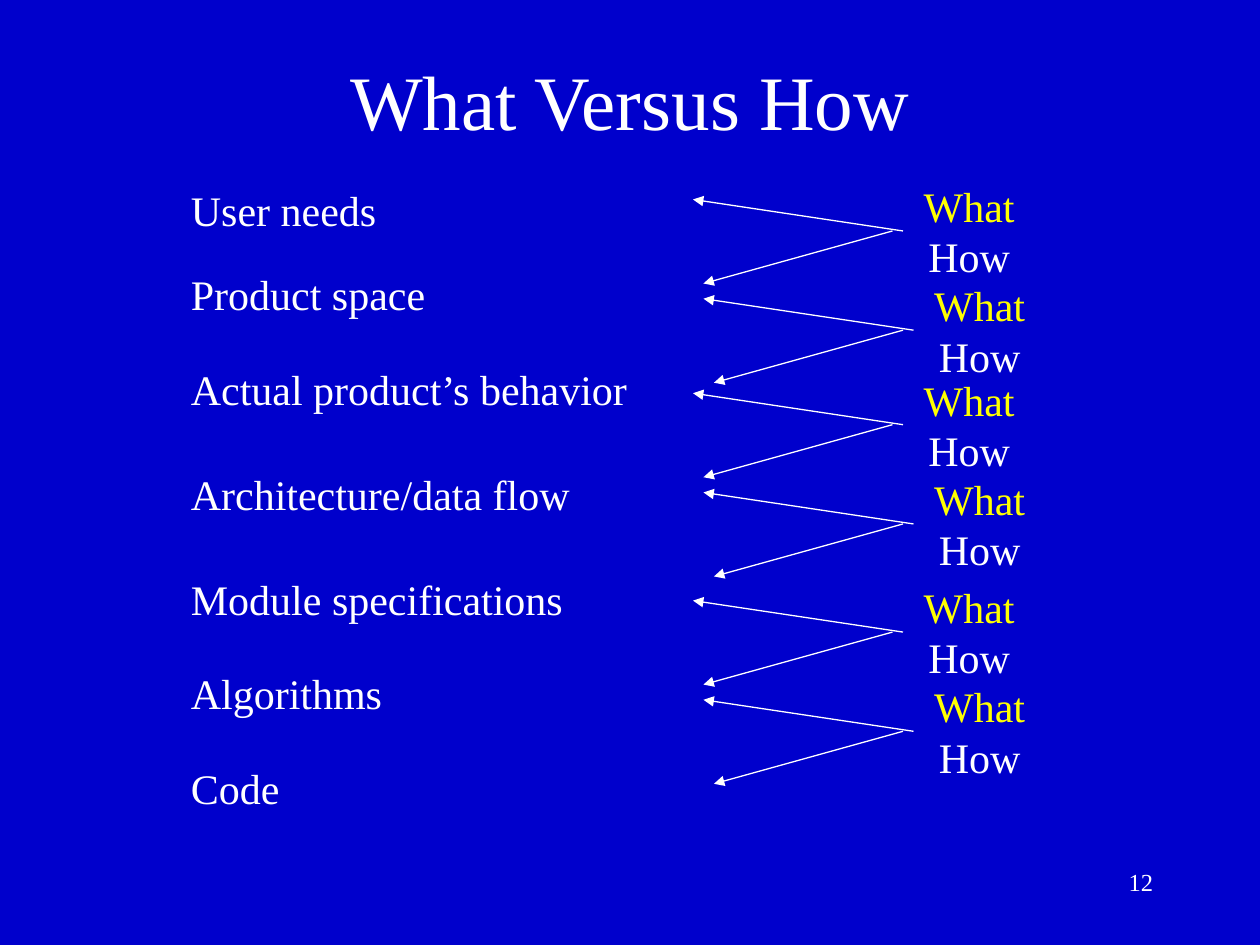
from dataclasses import dataclass

from lxml.etree import SubElement
from pptx import Presentation
from pptx.dml.color import RGBColor
from pptx.enum.shapes import MSO_CONNECTOR
from pptx.enum.text import MSO_ANCHOR, PP_ALIGN
from pptx.oxml.ns import qn
from pptx.slide import Slide
from pptx.text.text import TextFrame
from pptx.util import Inches, Length, Pt

WHITE, YELLOW, BLUE = "FFFFFF", "FFFF00", "0000CC"
FONT = "Times New Roman"
COLS, ROWS = 120, 90


@dataclass
class Level:
    text: str
    row: float
    width: float


@dataclass
class Fork:
    col: float
    row: float


LEVELS = [
    Level("User needs", 17, 20.5),
    Level("Product space", 25, 25.2),
    Level("Actual product’s behavior", 34, 44.7),
    Level("Architecture/data flow", 44, 39),
    Level("Module specifications", 54, 38.3),
    Level("Algorithms", 63, 21.1),
    Level("Code", 72, 11.3),
]
FORKS = [Fork(66 + step, top + 9.45 * step)
         for top in (19, 37.45, 57.2) for step in (0, 1)]


def unit(count: float) -> Length:
    """Turn grid columns or rows into a length."""
    return Inches(10 * count / COLS)


def color(code: str) -> RGBColor:
    """Turn a hex string into a colour."""
    return RGBColor.from_string(code)


def style(frame: TextFrame, size: float, align: PP_ALIGN, *codes: str) -> None:
    """Format each paragraph of a frame with its own colour."""
    for para, code in zip(frame.paragraphs, codes):
        para.alignment = align
        for run in para.runs:
            run.font.name = FONT
            run.font.size = Pt(size)
            run.font.color.rgb = color(code)


def label(slide: Slide, text: str, col: float, row: float, width: float,
          height: float, align: PP_ALIGN, *codes: str, size: float = 24) -> None:
    """Add a text box placed on the grid."""
    box = slide.shapes.add_textbox(unit(col), unit(row), unit(width), unit(height))
    frame = box.text_frame
    frame.text = text
    frame.word_wrap = True
    style(frame, size, align, *codes)


def arrow(slide: Slide, col: float, row: float, tipcol: float, tiprow: float) -> None:
    """Draw a thin line with a triangle at its tip."""
    line = slide.shapes.add_connector(
        MSO_CONNECTOR.STRAIGHT, unit(col), unit(row), unit(tipcol), unit(tiprow))
    line.line.color.rgb = color(WHITE)
    line.line.width = Pt(0.75)
    SubElement(line.line._get_or_add_ln(), qn("a:tailEnd"), type="triangle")
    SubElement(line._element.spPr, qn("a:effectLst"))


def draw(slide: Slide, fork: Fork) -> None:
    """Draw two arrows and the What and How pair beside them."""
    col, row = fork.col, fork.row
    arrow(slide, col + 20, row + 3, col, row)
    arrow(slide, col + 19, row + 3, col + 1, row + 8)
    label(slide, "What\nHow", col + 20.5, row - 2.4, 11.6, 10.8,
          PP_ALIGN.CENTER, YELLOW, WHITE)


def head(slide: Slide, text: str) -> None:
    """Place and format the title."""
    title = slide.shapes.title
    title.left, title.top = unit(9), unit(2)
    title.width, title.height = unit(102), unit(15)
    frame = title.text_frame
    frame.text = text
    frame.vertical_anchor = MSO_ANCHOR.MIDDLE
    style(frame, 44, PP_ALIGN.CENTER, WHITE)


def main() -> None:
    """Build and save the slide."""
    deck = Presentation()
    deck.slide_width, deck.slide_height = unit(COLS), unit(ROWS)
    slide = deck.slides.add_slide(deck.slide_layouts[5])
    fill = slide.background.fill
    fill.solid()
    fill.fore_color.rgb = color(BLUE)
    head(slide, "What Versus How")
    for level in LEVELS:
        label(slide, level.text, 17, level.row, level.width, 6, PP_ALIGN.LEFT, WHITE)
    for fork in FORKS:
        draw(slide, fork)
    label(slide, "12", 86, 82, 25, 6, PP_ALIGN.RIGHT, WHITE, size=14)
    deck.save("out.pptx")


if __name__ == "__main__":
    main()
